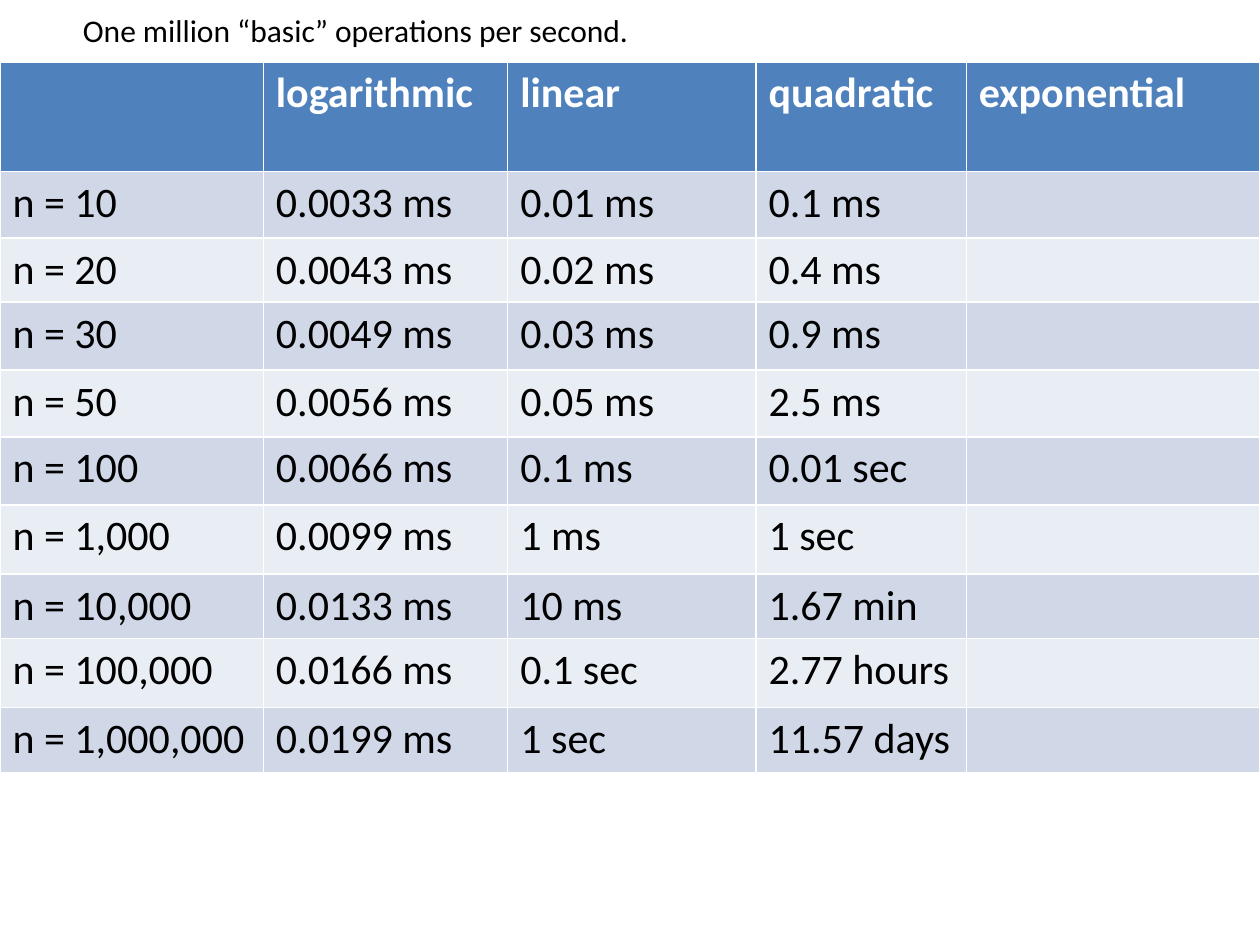
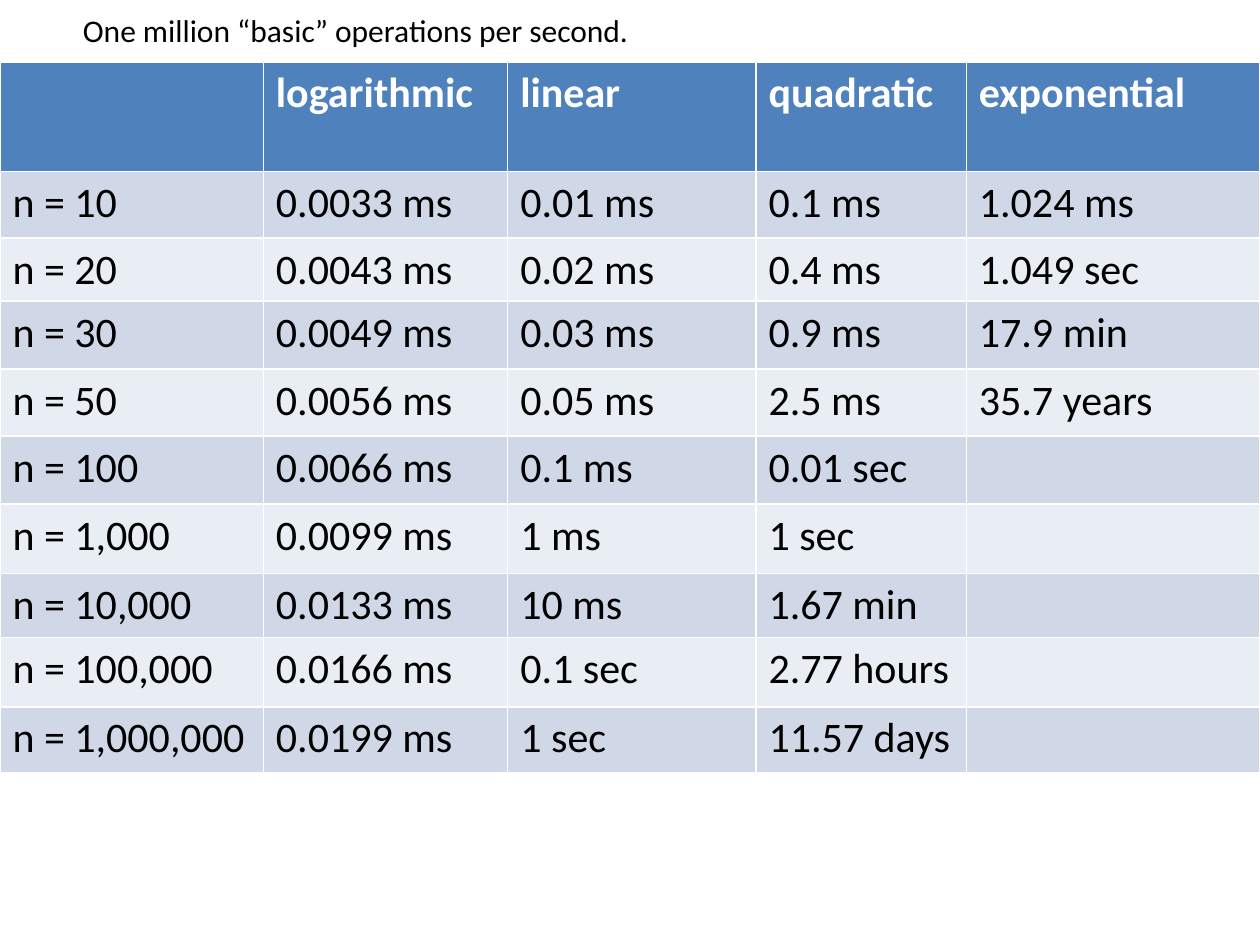
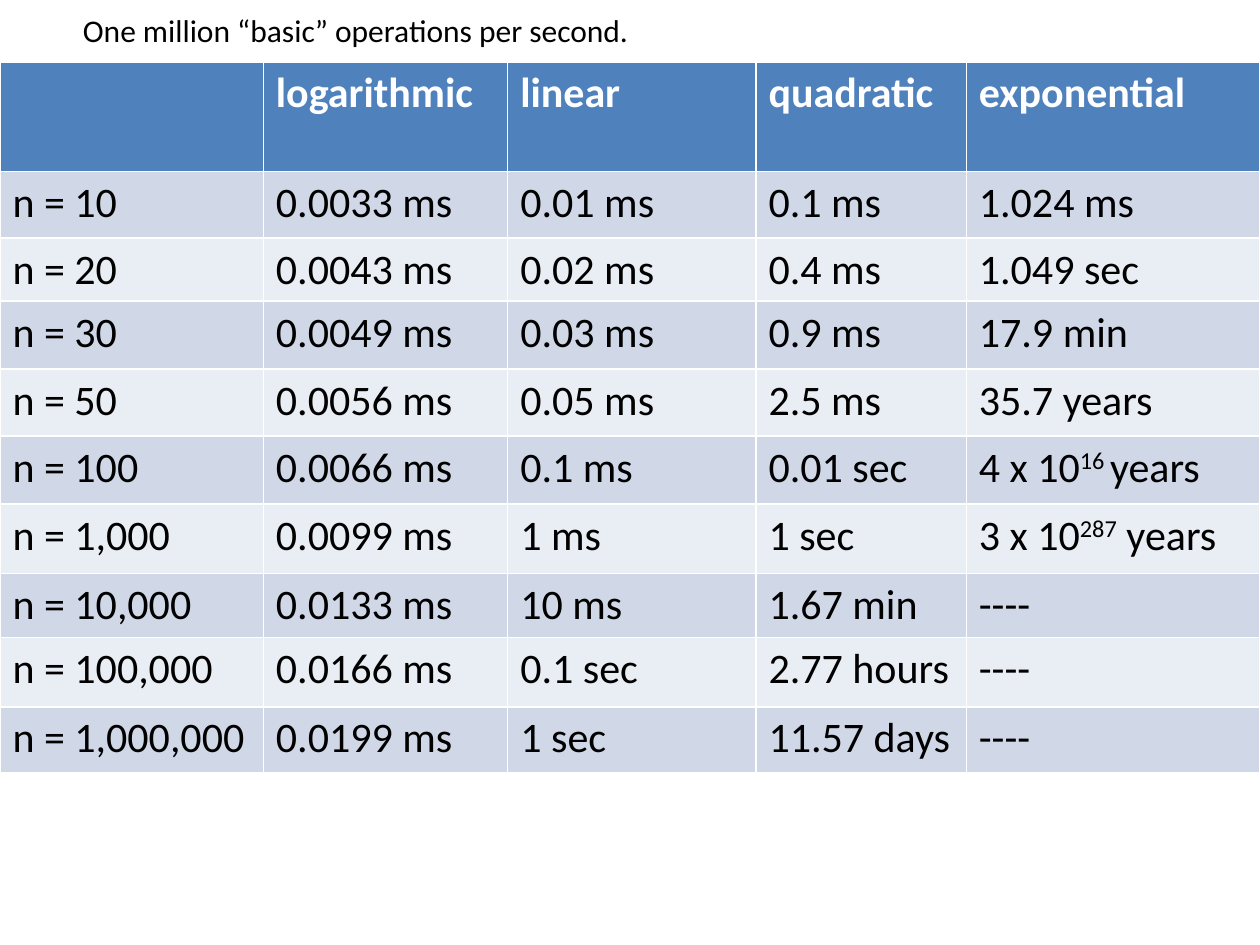
import pptx
import pptx.dml.color
import pptx.enum.text
import pptx.util

COLORS = {
    "header": "4F81BD",
    "odd band": "D0D8E8",
    "even band": "E9EDF4",
    "header text": "FFFFFF",
    "text": "000000",
}
CAPTION = "One million “basic” operations per second."
HEADINGS = ["", "logarithmic", "linear", "quadratic", "exponential"]
RUNTIMES = [
    ["n = 10", "0.0033 ms", "0.01 ms", "0.1 ms", "1.024 ms"],
    ["n = 20", "0.0043 ms", "0.02 ms", "0.4 ms", "1.049 sec"],
    ["n = 30", "0.0049 ms", "0.03 ms", "0.9 ms", "17.9 min"],
    ["n = 50", "0.0056 ms", "0.05 ms", "2.5 ms", "35.7 years"],
    ["n = 100", "0.0066 ms", "0.1 ms", "0.01 sec", "4 x 10^16 ^years"],
    ["n = 1,000", "0.0099 ms", "1 ms", "1 sec", "3 x 10^287^ years"],
    ["n = 10,000", "0.0133 ms", "10 ms", "1.67 min", "----"],
    ["n = 100,000", "0.0166 ms", "0.1 sec", "2.77 hours", "----"],
    ["n = 1,000,000", "0.0199 ms", "1 sec", "11.57 days", "----"],
]
# Grid units: the slide is 100 columns wide and 75 rows high.
COLUMN_WIDTHS = [20.9, 19.4, 19.7, 16.7, 23.3]
ROW_HEIGHTS = [8.7, 5.3, 4.9, 5.4, 5.3, 5.4, 5.5, 5.1, 5.5, 5.2]
REVEALED_ROWS = [0, 4, 9]


class RuntimeDeck:
    FONT = "Calibri"
    BLANK_LAYOUT = 6

    def __init__(self):
        self.deck = pptx.Presentation()
        self.deck.slide_width = pptx.util.Inches(10)
        self.deck.slide_height = pptx.util.Inches(7.5)
        self.slide = None

    def grid(self, *units):
        """Turn grid units into lengths, one unit being 1% of the width."""
        return [round(self.deck.slide_width * unit / 100) for unit in units]

    def add_slide(self):
        layout = self.deck.slide_layouts[self.BLANK_LAYOUT]
        self.slide = self.deck.slides.add_slide(layout)

    def add_text(self, para, text, size, color, bold=False):
        """Add text to a paragraph, raising the parts enclosed in carets."""
        for index, part in enumerate(text.split("^")):
            if not part:
                continue
            span = para.add_run()
            span.text = part
            span.font.name = self.FONT
            span.font.size = pptx.util.Pt(size)
            span.font.bold = bold
            span.font.color.rgb = pptx.dml.color.RGBColor.from_string(COLORS[color])
            if index % 2:
                span._r.get_or_add_rPr().set("baseline", "30000")

    def add_caption(self, text):
        box = self.slide.shapes.add_textbox(*self.grid(5.6, 0.4, 88, 4))
        frame = box.text_frame
        frame.word_wrap = True
        frame.auto_size = pptx.enum.text.MSO_AUTO_SIZE.SHAPE_TO_FIT_TEXT
        self.add_text(frame.paragraphs[0], text, 18, "text")

    def add_table(self, rows):
        area = self.grid(0, 4.9, sum(COLUMN_WIDTHS), sum(ROW_HEIGHTS))
        table = self.slide.shapes.add_table(len(rows), len(rows[0]), *area).table
        for column, width in zip(table.columns, self.grid(*COLUMN_WIDTHS)):
            column.width = width
        for row, height in zip(table.rows, self.grid(*ROW_HEIGHTS)):
            row.height = height
        for row_index, texts in enumerate(rows):
            is_header = row_index == 0
            band = "odd band" if row_index % 2 else "even band"
            fill = COLORS["header" if is_header else band]
            text_color = "header text" if is_header else "text"
            for column_index, text in enumerate(texts):
                cell = table.cell(row_index, column_index)
                cell.fill.solid()
                cell.fill.fore_color.rgb = pptx.dml.color.RGBColor.from_string(fill)
                para = cell.text_frame.paragraphs[0]
                self.add_text(para, text, 24, text_color, is_header)


def runtimes_revealed(count):
    """Give the table rows with only the first exponential times filled in."""
    rows = [
        [*row[:-1], row[-1] if index < count else ""]
        for index, row in enumerate(RUNTIMES)
    ]
    return [HEADINGS, *rows]


def main():
    show = RuntimeDeck()
    for count in REVEALED_ROWS:
        show.add_slide()
        show.add_table(runtimes_revealed(count))
        show.add_caption(CAPTION)
    show.deck.save("out.pptx")


if __name__ == "__main__":
    main()
